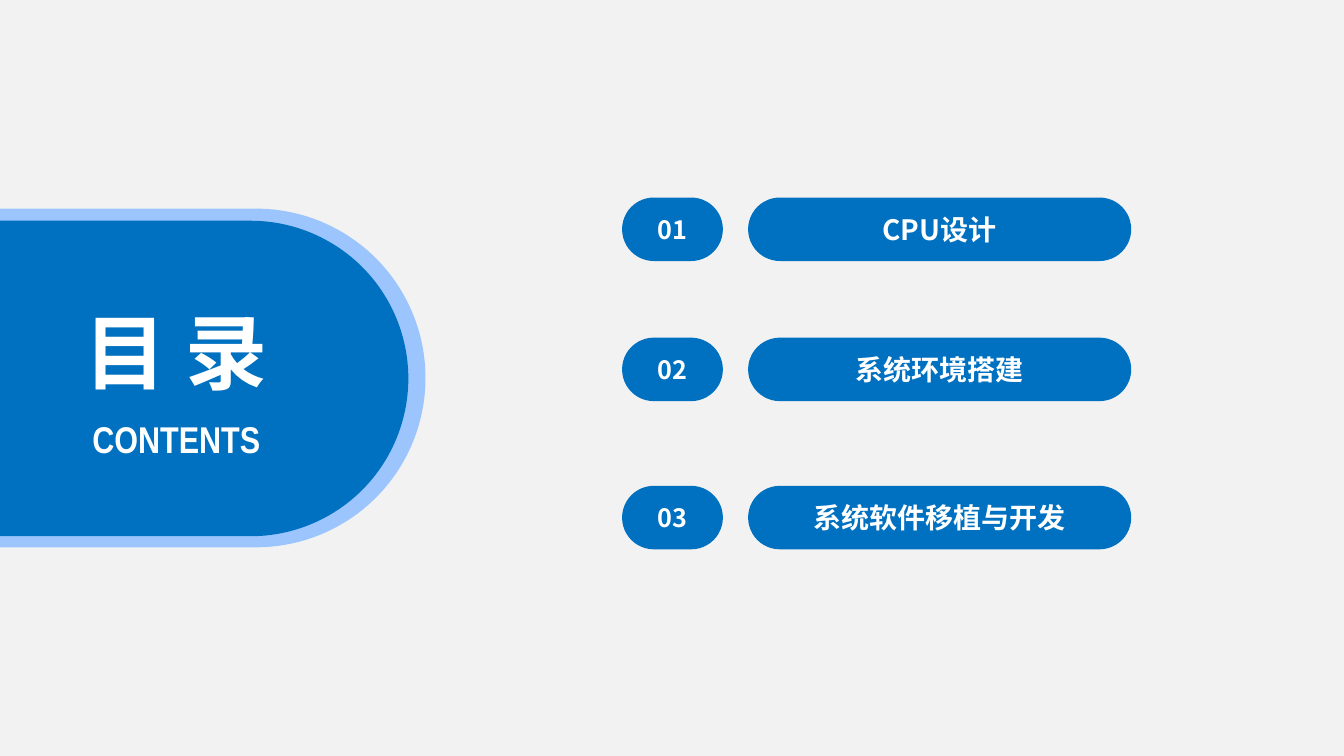
from dataclasses import dataclass

from pptx import Presentation
from pptx.dml.color import RGBColor
from pptx.enum import shapes, text
from pptx.oxml.ns import qn
from pptx.util import Inches, Pt


@dataclass(frozen=True)
class Theme:
    background: RGBColor = RGBColor(0xF2, 0xF2, 0xF2)
    primary: RGBColor = RGBColor(0x00, 0x70, 0xC0)
    rim: RGBColor = RGBColor(0x9C, 0xC5, 0xFD)
    light: RGBColor = RGBColor(0xFF, 0xFF, 0xFF)
    font: str = "Noto Sans CJK SC"
    subtitle_font: str = "Arial Narrow"
    title_size: float = 58.6
    subtitle_size: float = 26.6
    chapter_size: float = 20
    number_size: float = 18


@dataclass(frozen=True)
class Box:
    left: float
    top: float
    width: float
    height: float

    def lengths(self) -> tuple:
        return tuple(Inches(v) for v in (self.left, self.top, self.width, self.height))


@dataclass(frozen=True)
class Chapter:
    title: str
    top: float


THEME = Theme()
CHAPTERS = (
    Chapter("CPU设计", 1.96),
    Chapter("系统环境搭建", 3.35),
    Chapter("系统软件移植与开发", 4.82),
)
NUMBER_LEFT, NUMBER_WIDTH = 6.17, 1
CHAPTER_LEFT, CHAPTER_WIDTH = 7.42, 3.8
PILL_HEIGHT = 0.63


def write(shape, wording: str, *, size: float, font: str = THEME.font, wrap: bool = True) -> None:
    """Put one centred, bold, light line of text in the shape."""
    frame = shape.text_frame
    frame.auto_size = text.MSO_AUTO_SIZE.NONE
    frame.word_wrap = wrap
    frame.vertical_anchor = text.MSO_ANCHOR.MIDDLE
    paragraph = frame.paragraphs[0]
    paragraph.alignment = text.PP_ALIGN.CENTER
    run = paragraph.add_run()
    run.text = wording
    run.font.name = font
    run.font.size = Pt(size)
    run.font.bold = True
    run.font.color.rgb = THEME.light
    east_asian = run.font._element.makeelement(qn("a:ea"), {"typeface": font})
    run.font._element.find(qn("a:latin")).addnext(east_asian)


def add_pill(slide, box: Box, fill: RGBColor = THEME.primary):
    pill = slide.shapes.add_shape(shapes.MSO_SHAPE.ROUNDED_RECTANGLE, *box.lengths())
    pill.adjustments[0] = 0.5
    pill.shadow.inherit = False
    pill.fill.solid()
    pill.fill.fore_color.rgb = fill
    pill.line.fill.background()
    return pill


def add_chapter(slide, number: int, chapter: Chapter) -> None:
    number_pill = add_pill(slide, Box(NUMBER_LEFT, chapter.top, NUMBER_WIDTH, PILL_HEIGHT))
    write(number_pill, f"{number:02}", size=THEME.number_size)
    chapter_pill = add_pill(slide, Box(CHAPTER_LEFT, chapter.top, CHAPTER_WIDTH, PILL_HEIGHT))
    write(chapter_pill, chapter.title, size=THEME.chapter_size)


def add_heading(slide) -> None:
    add_pill(slide, Box(-1.96, 2.07, 6.18, 3.36), THEME.rim)
    add_pill(slide, Box(-1.7, 2.19, 5.75, 3.13))

    subtitle = slide.shapes.add_textbox(*Box(0.62, 4.08, 2.26, 0.55).lengths())
    write(subtitle, "CONTENTS", size=THEME.subtitle_size, font=THEME.subtitle_font, wrap=False)

    title = slide.shapes.title
    title.left, title.top, title.width, title.height = Box(0.7, 2.93, 2.09, 1.09).lengths()
    write(title, "目 录", size=THEME.title_size, wrap=False)
    # The title placeholder starts at the back; bring it in front of the pills.
    title.element.getparent().append(title.element)


def main() -> None:
    deck = Presentation()
    deck.slide_width, deck.slide_height = Inches(13.33), Inches(7.5)
    slide = deck.slides.add_slide(deck.slide_layouts.get_by_name("Title Only"))
    slide.background.fill.solid()
    slide.background.fill.fore_color.rgb = THEME.background

    add_heading(slide)
    for number, chapter in enumerate(CHAPTERS, start=1):
        add_chapter(slide, number, chapter)
    deck.save("out.pptx")


if __name__ == "__main__":
    main()
